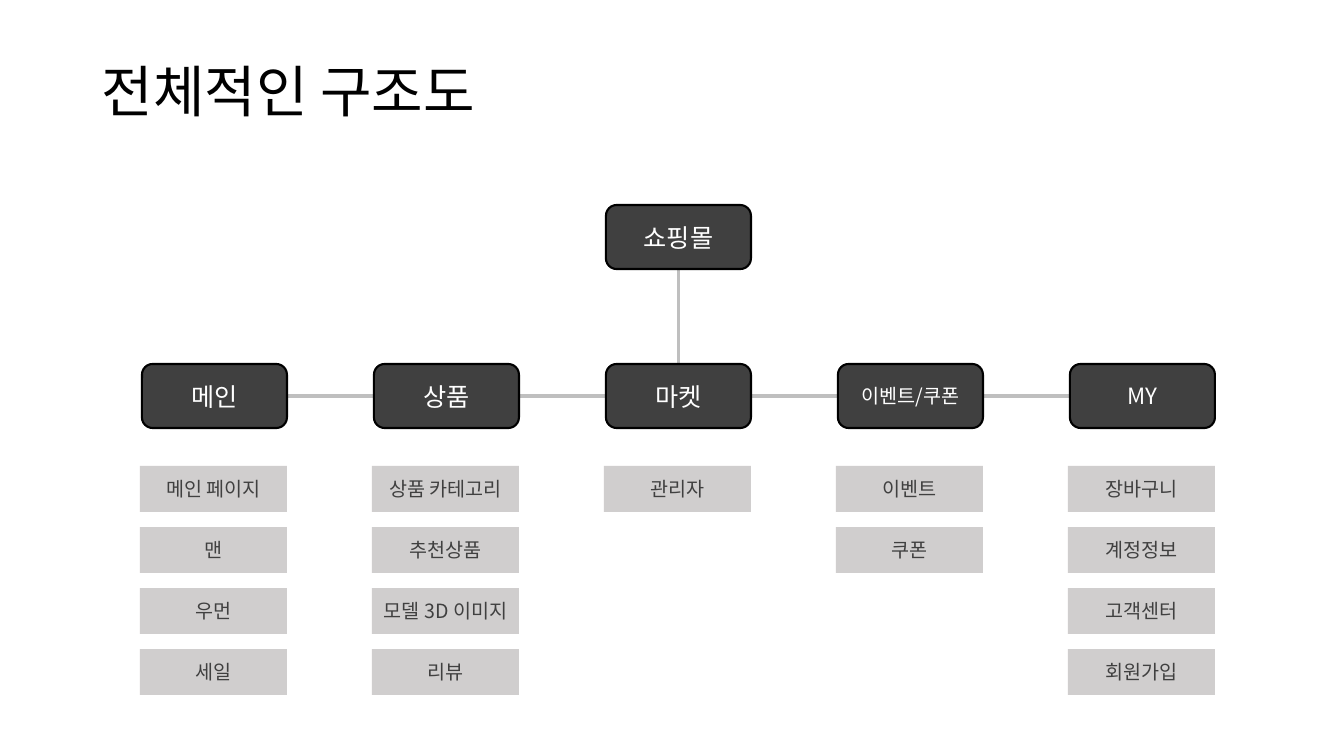
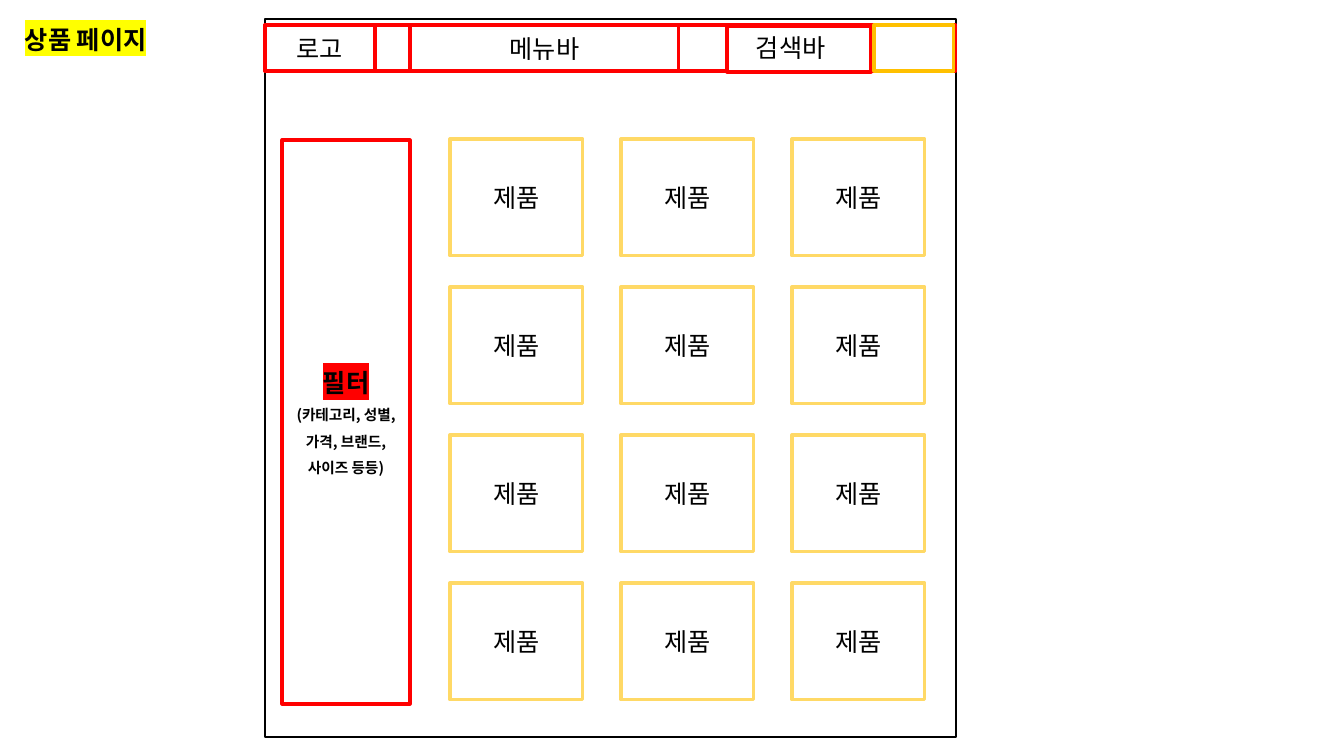
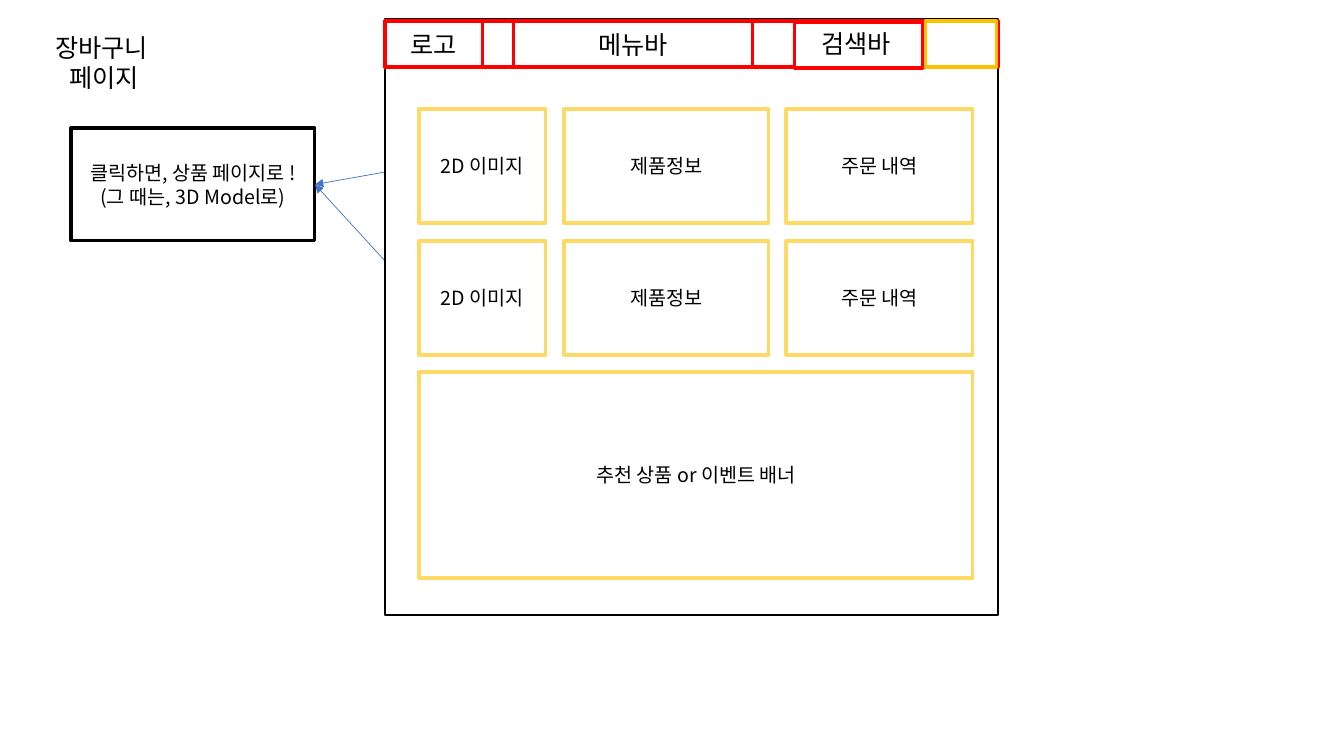
from lxml.etree import SubElement
from pptx import Presentation
from pptx.dml.color import RGBColor
from pptx.enum.shapes import MSO_CONNECTOR, MSO_SHAPE
from pptx.enum.text import MSO_ANCHOR, MSO_AUTO_SIZE, PP_ALIGN
from pptx.oxml.ns import qn
from pptx.util import Emu, Pt

SCALE = 914400 / 100.8
FONT = "Noto Sans CJK KR"
COLORS = {
    "white": "FFFFFF", "black": "000000", "dark": "404040", "leaf": "D0CECE",
    "wire": "BFBFBF", "red": "FF0000", "gold": "FFC000", "sand": "FFD966",
    "blue": "4472C4", "yellow": "FFFF00",
}

TITLE = "전체적인 구조도"
ROOT = "쇼핑몰"
MENU = [
    ("메인", 18, ["메인 페이지", "맨", "우먼", "세일"]),
    ("상품", 18, ["상품 카테고리", "추천상품", "모델 3D 이미지", "리뷰"]),
    ("마켓", 18, ["관리자"]),
    ("이벤트/쿠폰", 14, ["이벤트", "쿠폰"]),
    ("MY", 16, ["장바구니", "계정정보", "고객센터", "회원가입"]),
]
HEADER_WIDTH = 691
HEADER = [
    ("", 0, 691, 0, "white", "red"),
    ("", 462, 144, 1, "white", "red"),
    ("", 609, 80, 0, "white", "gold"),
    ("로고", 0, 110, 0, None, "red"),
    ("메뉴바", 145, 269, 0, "white", "red"),
]
SEARCH = ("검색바", 481, 109)
PRODUCT = "제품"
FILTER = [
    {"text": "필터", "bold": True, "mark": "red"},
    {"text": "(카테고리, 성별, 가격, 브랜드, 사이즈 등등)",
     "size": 10.5, "bold": True, "space": 1.5},
]
NOTE = ["클릭하면, 상품 페이지로 !", "(그 때는, 3D Model로)"]
CART = [("2D 이미지", 419, 127), ("제품정보", 564, 205), ("주문 내역", 786, 187)]
BANNER = "추천 상품 or 이벤트 배너"


def px(value):
    return Emu(round(value * SCALE))


def rgb(name):
    return RGBColor.from_string(COLORS[name])


def add_run(para, text, size, color, bold, mark):
    run = para.add_run()
    run.text = text
    font = run.font
    font.size = Pt(size)
    font.bold = bold
    font.color.rgb = rgb(color)
    font.name = FONT
    props = run._r.get_or_add_rPr()
    SubElement(props, qn("a:ea"), typeface=FONT)
    if mark:
        light = SubElement(props, qn("a:highlight"))
        SubElement(light, qn("a:srgbClr"), val=COLORS[mark])
        props.find(qn("a:latin")).addprevious(light)


def write(frame, paras, size, color, align):
    frame.word_wrap = True
    for index, item in enumerate(paras):
        if isinstance(item, str):
            item = {"text": item}
        para = frame.paragraphs[0] if index == 0 else frame.add_paragraph()
        para.alignment = align
        if "space" in item:
            para.line_spacing = item["space"]
        for row, line in enumerate(item["text"].split("\n")):
            if row:
                para.add_line_break()
            add_run(para, line, item.get("size", size), color,
                    item.get("bold", False), item.get("mark"))


def add_box(slide, rect, paras=(), fill="white", line=None, size=18,
            color="black", weight=2.25, kind=MSO_SHAPE.RECTANGLE):
    box = slide.shapes.add_shape(kind, *map(px, rect))
    box.shadow.inherit = False
    if fill:
        box.fill.solid()
        box.fill.fore_color.rgb = rgb(fill)
    else:
        box.fill.background()
    if line:
        box.line.color.rgb = rgb(line)
        box.line.width = Pt(weight)
    else:
        box.line.fill.background()
    if paras:
        box.text_frame.vertical_anchor = MSO_ANCHOR.MIDDLE
        write(box.text_frame, paras, size, color, PP_ALIGN.CENTER)
    return box


def add_label(slide, rect, paras, size=18, align=PP_ALIGN.LEFT):
    frame = slide.shapes.add_textbox(*map(px, rect)).text_frame
    write(frame, paras, size, "black", align)
    frame.auto_size = MSO_AUTO_SIZE.SHAPE_TO_FIT_TEXT


def add_wire(slide, color, weight, arrow=False):
    wire = slide.shapes.add_connector(MSO_CONNECTOR.STRAIGHT, 0, 0, 0, 0)
    wire.line.color.rgb = rgb(color)
    wire.line.width = Pt(weight)
    if arrow:
        SubElement(wire.line._get_or_add_ln(), qn("a:tailEnd"), type="triangle")
    SubElement(wire._element.spPr, qn("a:effectLst"))
    return wire


def join(wire, start, side, end, other):
    wire.begin_connect(start, side)
    wire.end_connect(end, other)


def add_page(slide, left, width, height, top):
    ratio = width / HEADER_WIDTH
    add_box(slide, (left, 19, width, height), line="black", weight=1)
    for text, x, w, drop, fill, line in HEADER:
        rect = (left + x * ratio, top + drop, w * ratio, 46)
        add_box(slide, rect, [text] if text else (), fill, line)
    text, x, w = SEARCH
    add_label(slide, (left + x * ratio, top + 2, w * ratio, 40), [text])


def draw_map(slide):
    def add_card(x, y, text, size):
        return add_box(slide, (x, y, 145, 64), [text], "dark", "black", size,
                       "white", 1.5, MSO_SHAPE.ROUNDED_RECTANGLE)

    step = 232
    wires = [add_wire(slide, "wire", 2.25) for _ in MENU]
    root = add_card(142 + 2 * step, 205, ROOT, 18)
    cards = []
    for col, (name, size, leaves) in enumerate(MENU):
        cards.append(add_card(142 + col * step, 364, name, size))
        for row, leaf in enumerate(leaves):
            rect = (140 + col * step, 466 + row * 61, 147, 46)
            add_box(slide, rect, [leaf], "leaf", size=14, color="dark")
    join(wires[0], root, 2, cards[2], 0)
    for wire, left, right in zip(wires[1:], cards, cards[1:]):
        join(wire, right, 1, left, 3)
    add_label(slide, (92, 52, 560, 78), [TITLE], 40)


def draw_shop(slide):
    head = {"text": "상품 페이지", "bold": True, "mark": "yellow"}
    add_label(slide, (15, 19, 150, 40), [head])
    add_page(slide, 265, 691, 718, 25)
    add_box(slide, (282, 140, 128, 564), FILTER, line="red")
    for row in range(4):
        for col in range(3):
            rect = (450 + col * 171, 139 + row * 148, 133, 117)
            add_box(slide, rect, [PRODUCT], line="sand")


def draw_cart(slide):
    add_label(slide, (33, 27, 137, 71), ["장바구니\n 페이지"],
              align=PP_ALIGN.CENTER)
    note = add_box(slide, (71, 128, 244, 113), NOTE, line="black", size=14)
    wires = [add_wire(slide, "blue", 0.5, True) for _ in range(2)]
    add_page(slide, 385, 613, 596, 21)
    for row, wire in enumerate(wires):
        cells = [add_box(slide, (x, 109 + row * 132, w, 114), [text],
                         line="sand", size=14) for text, x, w in CART]
        join(wire, cells[0], 1, note, 3)
    add_box(slide, (419, 372, 554, 206), [BANNER], line="sand", size=14)


def main():
    deck = Presentation()
    deck.slide_width, deck.slide_height = px(1344), px(756)
    for draw in (draw_map, draw_shop, draw_cart):
        draw(deck.slides.add_slide(deck.slide_layouts[6]))
    deck.save("out.pptx")


if __name__ == "__main__":
    main()
